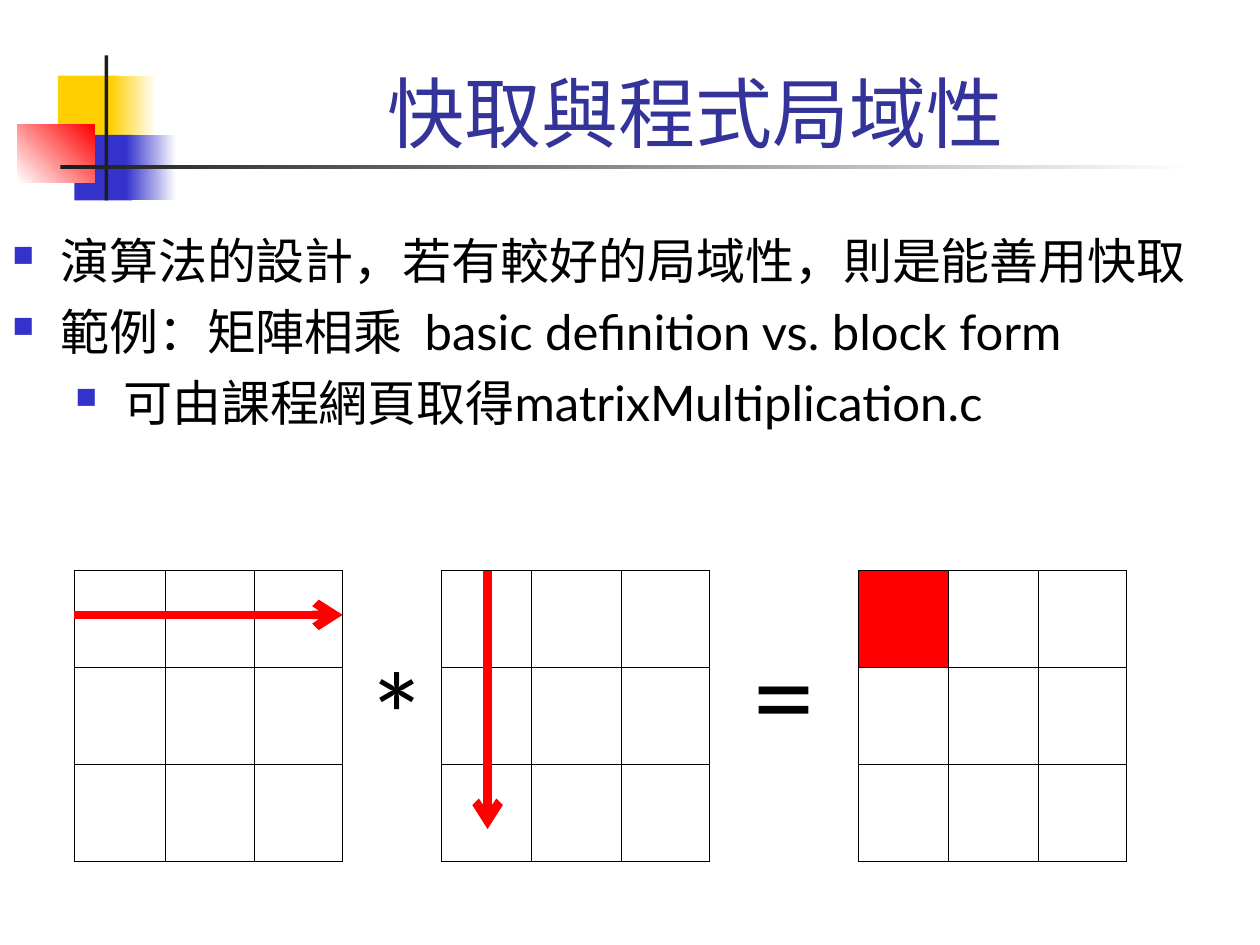
import pptx
import pptx.util
import pptx.dml.color
import pptx.enum.shapes
import pptx.enum.text
import pptx.oxml
import pptx.oxml.ns
from lxml import etree

Pt = pptx.util.Pt
qn = pptx.oxml.ns.qn
prs = pptx.Presentation()
prs.slide_width = pptx.util.Inches(10)
prs.slide_height = pptx.util.Inches(7.5)
COL = prs.slide_width / 100
ROW = prs.slide_height / 75
s = prs.slides.add_slide(prs.slide_layouts[6])


def color(value):
    return pptx.dml.color.RGBColor.from_string(value)


def grid(x, y, w, h):
    return round(x * COL), round(y * ROW), round(w * COL), round(h * ROW)


decor = [
    (4.6, 6, 4.8, 5.2, ["FFCF01"], 0),
    (8.8, 6, 3.6, 5.2, ["FFCF01", "FFFFFF"], 0),
    (5.9, 10.7, 4.6, 5.2, ["3333CC"], 0),
    (10, 10.7, 4, 5.2, ["3333CC", "FFFFFF"], 0),
    (1.4, 9.9, 6.1, 4.6, ["FFFFFF", "FF0000"], 45),
    (8.3, 4.4, 0.3, 11.5, ["1C1C1C"], 0),
    (4.8, 13.1, 90, 0.3, ["1C1C1C", "FFFFFF"], 0),
]
for x, y, w, h, colors, angle in decor:
    sp = s.shapes.add_shape(pptx.enum.shapes.MSO_SHAPE.RECTANGLE, *grid(x, y, w, h))
    sp.shadow.inherit = False
    sp.line.fill.background()
    if len(colors) == 1:
        sp.fill.solid()
        sp.fill.fore_color.rgb = color(colors[0])
    else:
        sp.fill.gradient()
        sp.fill.gradient_angle = angle
        for stop, value in zip(sp.fill.gradient_stops, colors):
            stop.color.rgb = color(value)

for x in (5.9, 35, 68.1):
    frame = s.shapes.add_table(3, 3, *grid(x, 45.3, 21.3, 23.1))
    table = frame.table
    table.first_row = table.horz_banding = False
    for column, width in zip(table.columns, (7.2, 7.1, 7)):
        column.width = round(width * COL)
    for cell in table.iter_cells():
        cell.fill.solid()
        cell.fill.fore_color.rgb = color("FFFFFF")
        tcPr = cell._tc.get_or_add_tcPr()
        for i, side in enumerate(("lnL", "lnR", "lnT", "lnB")):
            ln = pptx.oxml.parse_xml(
                f'<a:{side} {pptx.oxml.ns.nsdecls("a")} w="{Pt(0.45)}">'
                f'<a:solidFill><a:srgbClr val="000000"/></a:solidFill></a:{side}>')
            tcPr.insert(i, ln)
table.cell(0, 0).fill.fore_color.rgb = color("FF0000")

lines = ["演算法的設計，若有較好的局域性，則是能善用快取",
         "範例：矩陣相乘  basic definition vs. block form",
         "可由課程網頁取得matrixMultiplication.c"]
texts = [
    (12.6, 0.5, 85.2, 12.5, ["快取與程式局域性"], 44, "333399"),
    (0, 17.8, 100, 17.3, lines, 28, "000000"),
    (57.1, 49, 10.2, 12, ["="], 66, "000000"),
    (26.4, 50.6, 10.2, 12, ["*"], 66, "000000"),
]
for x, y, w, h, content, size, value in texts:
    tf = s.shapes.add_textbox(*grid(x, y, w, h)).text_frame
    tf.word_wrap = True
    tf.text = "\n".join(content)
    if size == 44:
        tf.vertical_anchor = pptx.enum.text.MSO_ANCHOR.BOTTOM
    for i, p in enumerate(tf.paragraphs):
        for r in p.runs:
            r.font.size = Pt(size)
            r.font.name = "Lato"
            r.font.color.rgb = color(value)
        if content is not lines:
            p.alignment = pptx.enum.text.PP_ALIGN.CENTER
            continue
        p.level = i // 2
        p.space_before = Pt(7)
        pPr = p._p.get_or_add_pPr()
        pPr.set("marL", str(round((3.8 + 5 * p.level) * COL)))
        pPr.set("indent", str(round(-3.8 * COL)))
        buClr = etree.SubElement(pPr, qn("a:buClr"))
        etree.SubElement(buClr, qn("a:srgbClr"), val="3333CC")
        etree.SubElement(pPr, qn("a:buSzPct"), val="60000")
        etree.SubElement(pPr, qn("a:buChar"), char="■")

for x, y, w, h in ((5.9, 48.8, 21.3, 0), (38.7, 45.3, 0, 20.5)):
    left, top, width, height = grid(x, y, w, h)
    arrow = s.shapes.add_connector(pptx.enum.shapes.MSO_CONNECTOR.STRAIGHT,
                                   left, top, left + width, top + height)
    arrow.line.color.rgb = color("FF0000")
    arrow.line.width = Pt(5)
    etree.SubElement(arrow.line._get_or_add_ln(), qn("a:tailEnd"), type="arrow")
    etree.SubElement(arrow._element.spPr, qn("a:effectLst"))

prs.save("out.pptx")
